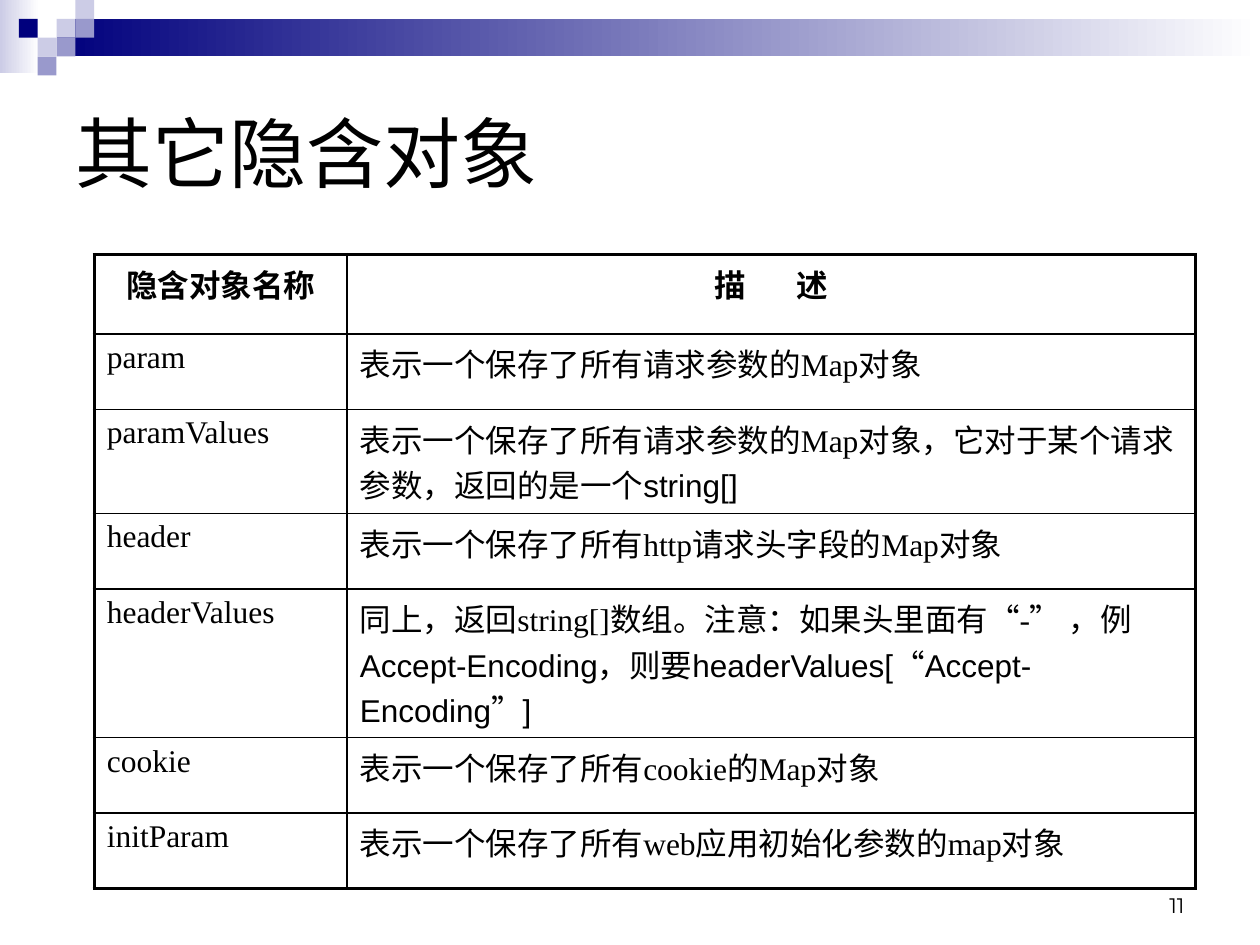
from lxml import etree
from pptx import Presentation
from pptx import util as u
from pptx.dml.color import RGBColor
from pptx.enum import shapes, text
from pptx.oxml.ns import qn

COLORS = {"navy": "00007D", "lilac": "CCCCE6", "violet": "9999CC", "white": "FFFFFF", "black": "000000"}
SERIF, SANS, NUMBER = "Times New Roman", "Arial", "Montserrat"
TILE = 0.38
TILES = [(3, 1, "lilac"), (4, 0, "lilac"), (4, 1, "violet"), (2, 2, "lilac"),
         (1, 1, "navy"), (3, 2, "violet"), (2, 3, "violet")]
ROWS = [
    ("param", [("表示一个保存了所有请求参数的Map对象", SERIF)]),
    ("paramValues", [("表示一个保存了所有请求参数的Map对象", SERIF),
                     ("，它对于某个请求参数，返回的是一个string[]", SANS)]),
    ("header", [("表示一个保存了所有http请求头字段的Map对象", SERIF)]),
    ("headerValues", [("同上，返回string[]数组。注意：如果头里面有", SERIF), ("“", SANS), ("-", SERIF),
                      ("”", SANS), (" ，例", SERIF),
                      ("Accept-Encoding，则要headerValues[“Accept-Encoding”]", SANS)]),
    ("cookie", [("表示一个保存了所有cookie的Map对象", SERIF)]),
    ("initParam", [("表示一个保存了所有web应用初始化参数的map对象", SERIF)]),
]


def rgb(name):
    """Return the named colour."""
    return RGBColor.from_string(COLORS[name])


class Deck:
    """Hold the presentation style and the current slide."""

    def __init__(self):
        """Open a 4:3 deck with one title-only slide."""
        self.prs = Presentation()
        self.prs.slide_width, self.prs.slide_height = u.Cm(25.4), u.Cm(19.05)
        self.s = self.prs.slides.add_slide(self.prs.slide_layouts[5])

    def run(self, p, words, font, size, bold=False):
        """Add one formatted run."""
        r = p.add_run()
        r.text = words
        r.font.name, r.font.size, r.font.bold = font, u.Pt(size), bold
        r.font.color.rgb = rgb("black")
        return r

    def rect(self, x, y, w, h, *colors):
        """Add a rectangle with a solid or left-to-right gradient fill."""
        sp = self.s.shapes.add_shape(shapes.MSO_SHAPE.RECTANGLE, u.Cm(x), u.Cm(y), u.Cm(w), u.Cm(h))
        sp.shadow.inherit = False
        sp.line.fill.background()
        if len(colors) == 1:
            sp.fill.solid()
            sp.fill.fore_color.rgb = rgb(colors[0])
            return
        sp.fill.gradient()
        sp.fill.gradient_angle = 0
        for position, (stop, color) in enumerate(zip(sp.fill.gradient_stops, colors)):
            stop.position, stop.color.rgb = position, rgb(color)

    def title(self, words):
        """Fill and place the title placeholder."""
        sp = self.s.shapes.title
        sp.left, sp.top, sp.width, sp.height = u.Cm(1.27), u.Cm(1.27), u.Cm(22.86), u.Cm(3.81)
        tf = sp.text_frame
        tf.vertical_anchor = text.MSO_ANCHOR.MIDDLE
        p = tf.paragraphs[0]
        p.alignment, p.line_spacing = text.PP_ALIGN.LEFT, 0.9
        self.run(p, words, SANS, 44)

    def number(self, words):
        """Add the page number at the lower right."""
        tf = self.s.shapes.add_textbox(u.Cm(18.21), u.Cm(17.35), u.Cm(5.92), u.Cm(1.27)).text_frame
        tf.word_wrap = True
        tf.vertical_anchor = text.MSO_ANCHOR.BOTTOM
        p = tf.paragraphs[0]
        p.alignment = text.PP_ALIGN.RIGHT
        self.run(p, words, NUMBER, 12)

    def border(self, cell, **widths):
        """Draw the four cell borders, given in points by side."""
        tc_pr = cell._tc.get_or_add_tcPr()
        for side, width in widths.items():
            ln = etree.SubElement(tc_pr, qn(f"a:ln{side}"), w=str(u.Pt(width)))
            fill = etree.SubElement(ln, qn("a:solidFill"))
            etree.SubElement(fill, qn("a:srgbClr"), val=COLORS["black"])

    def table(self, rows, x, y, widths, heights):
        """Add the ruled table and fill its header and body."""
        frame = self.s.shapes.add_table(len(heights), len(widths), u.Cm(x), u.Cm(y),
                                        u.Cm(sum(widths)), u.Cm(sum(heights)))
        tbl = frame.table
        tbl.first_row = tbl.horz_banding = False
        for col, width in zip(tbl.columns, widths):
            col.width = u.Cm(width)
        for row, height in zip(tbl.rows, heights):
            row.height = u.Cm(height)
        last = len(heights) - 1
        for i in range(len(heights)):
            for j in range(2):
                cell = tbl.cell(i, j)
                self.border(cell, L=1 if j else 2.25, R=2.25 if j else 1,
                            T=1 if i else 2.25, B=2.25 if i == last else 1)
                cell.fill.background()
        name, description = (tbl.cell(0, j).text_frame.paragraphs[0] for j in range(2))
        name.alignment = description.alignment = text.PP_ALIGN.CENTER
        self.run(name, "隐含对象名称", SERIF, 18, True)
        self.run(description, "描", SERIF, 18, True)
        gap = self.run(description, " ", SERIF, 18, True)
        gap.font._element.set("spc", "2450")
        self.run(description, "述", SERIF, 18, True)
        for i, (key, parts) in enumerate(rows, 1):
            for j, runs in enumerate(([(key, SERIF)], parts)):
                p = tbl.cell(i, j).text_frame.paragraphs[0]
                for words, font in runs:
                    self.run(p, words, font, 18)


def main():
    """Build and save the slide."""
    deck = Deck()
    deck.rect(0, 0, 0.79, 1.47, "lilac", "white")
    deck.rect(3 * TILE, TILE, 24.26, 2 * TILE, "navy", "white")
    for col, row, color in TILES:
        deck.rect(col * TILE, row * TILE, TILE, TILE, color)
    deck.title("其它隐含对象")
    deck.number("11")
    deck.table(ROWS, 1.9, 5.13, [5.1, 17.1], [1.6, 1.52, 2.1, 1.52, 3, 1.52, 1.52])
    deck.prs.save("out.pptx")


if __name__ == "__main__":
    main()
